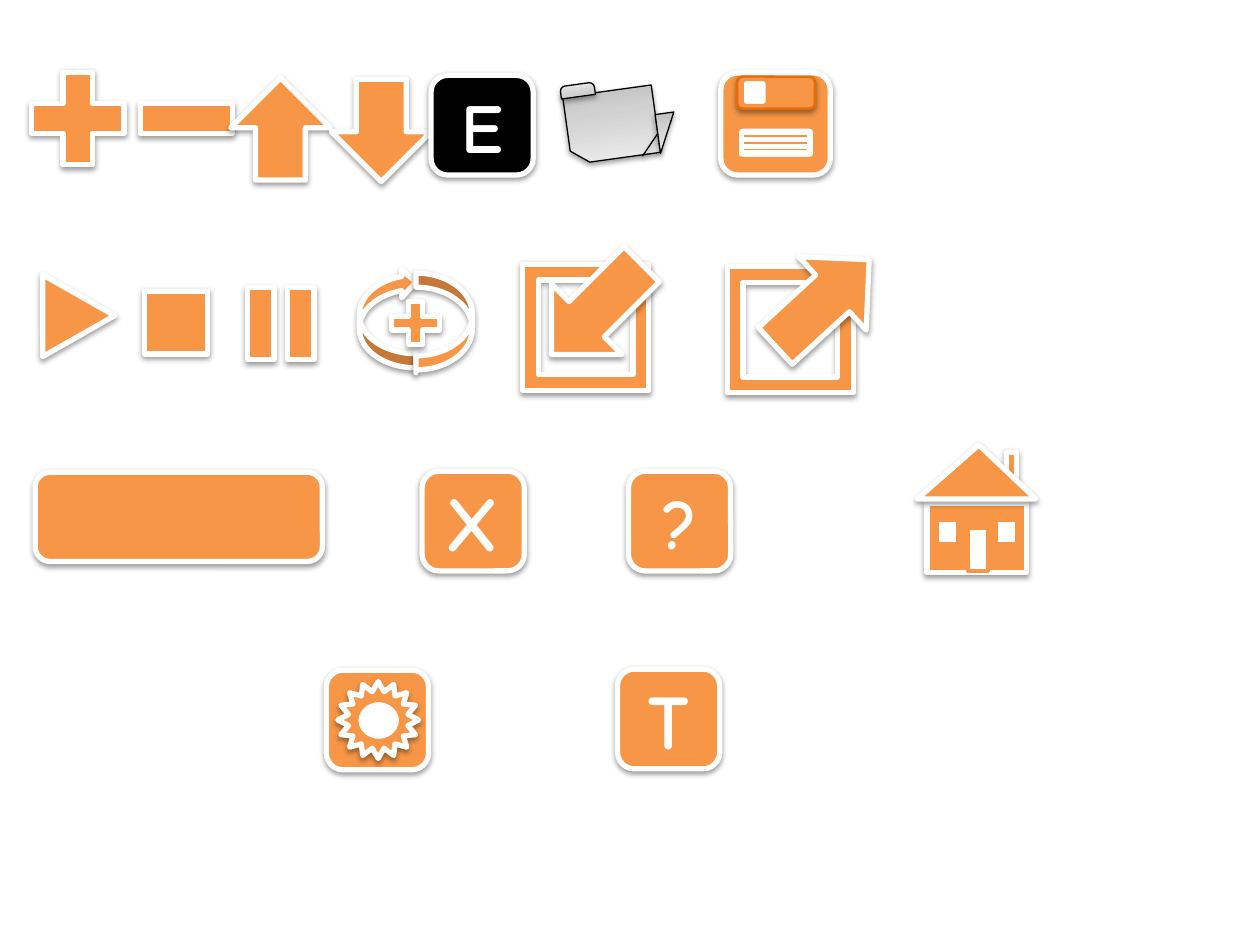
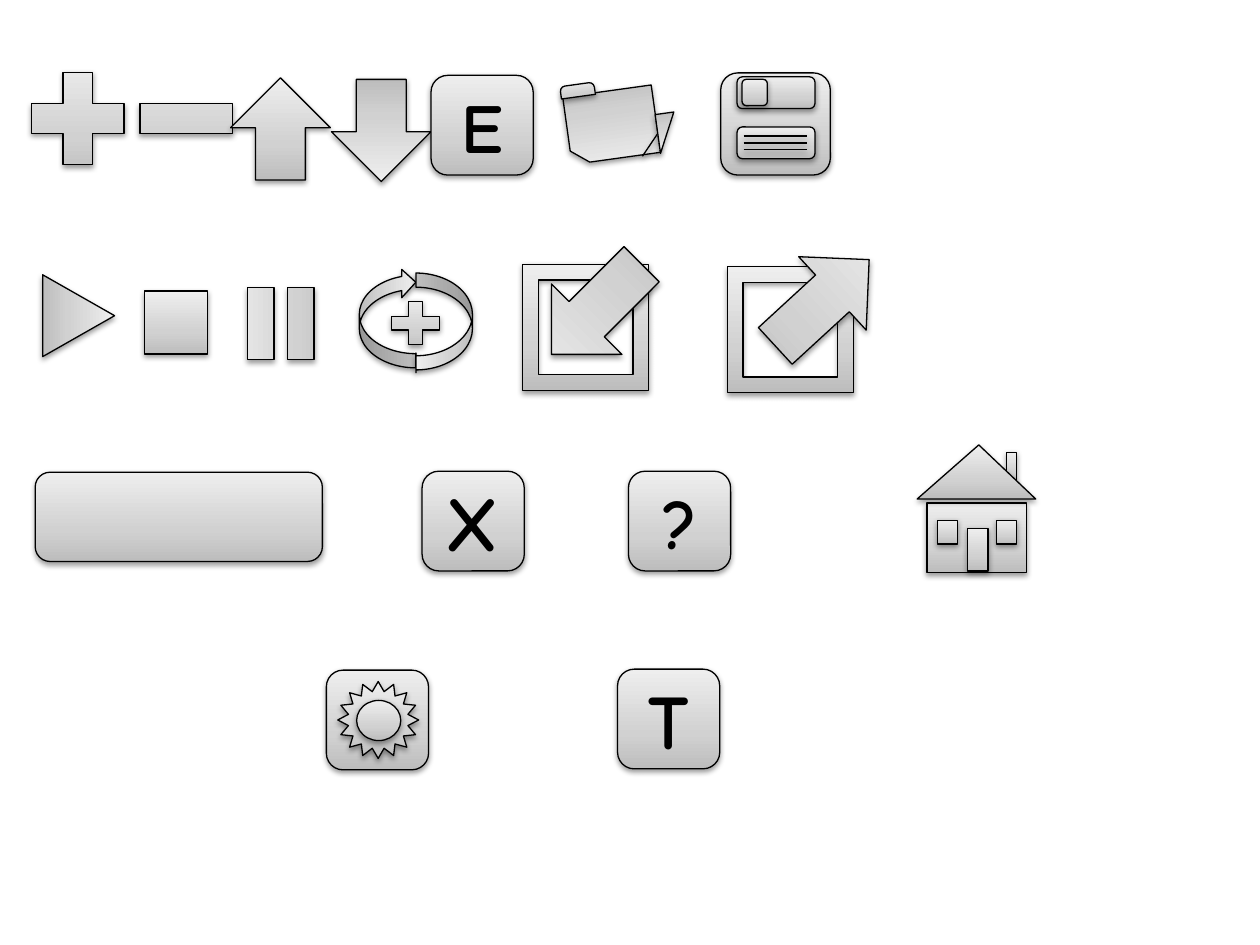
from dataclasses import dataclass
from typing import Optional

from lxml.etree import SubElement
from pptx import Presentation
from pptx.dml.color import RGBColor
from pptx.enum.shapes import MSO_CONNECTOR, MSO_SHAPE as Form
from pptx.enum.text import MSO_ANCHOR, PP_ALIGN
from pptx.oxml.ns import qn
from pptx.util import Cm, Pt

ORANGE = RGBColor(0xF7, 0x96, 0x46)
RULE_ORANGE = RGBColor(0xF6, 0x92, 0x40)
DARK_ORANGE = RGBColor(0xE4, 0x6C, 0x0A)
WHITE = RGBColor(0xFF, 0xFF, 0xFF)
BLACK = RGBColor(0x00, 0x00, 0x00)
SILVER_STOPS = (
    (0, RGBColor(0xBD, 0xBD, 0xBD)),
    (35, RGBColor(0xD1, 0xD1, 0xD1)),
    (100, RGBColor(0xEE, 0xEE, 0xEE)),
)
FONT = "Comic Neue"
KEY_SIZE = (2.06, 2.01)
ARROW_SIZE = (2.01, 2.06)


@dataclass(frozen=True)
class Look:
    """Fill, outline and shadow; without a fill the silver gradient is used."""
    fill: Optional[RGBColor]
    line: RGBColor
    weight: float
    shadow: bool = True


@dataclass(frozen=True)
class Theme:
    body: Look
    detail: Look
    shutter: Look
    rule: Look
    edit_key: Look
    ink: RGBColor


SILVER = Look(None, BLACK, 0.75)
ORANGE_THEME = Theme(
    body=Look(ORANGE, WHITE, 3),
    detail=Look(WHITE, ORANGE, 2, shadow=False),
    shutter=Look(ORANGE, DARK_ORANGE, 1.5),
    rule=Look(None, RULE_ORANGE, 0.75, shadow=False),
    edit_key=Look(BLACK, WHITE, 3),
    ink=WHITE,
)
SILVER_THEME = Theme(SILVER, SILVER, SILVER, SILVER, SILVER, BLACK)


def apply_outline(drawn, look):
    """Set the line, then the shadow, or an empty effect list for none."""
    drawn.line.color.rgb = look.line
    drawn.line.width = Pt(look.weight)
    effects = SubElement(drawn._element.spPr, qn("a:effectLst"))
    if look.shadow:
        shadow = SubElement(effects, qn("a:outerShdw"), blurRad="40000",
                            dist="20000", dir="5400000", rotWithShape="0")
        color = SubElement(shadow, qn("a:srgbClr"), val=str(BLACK))
        SubElement(color, qn("a:alpha"), val="38000")


def fill_silver(shape):
    shape.fill.gradient()
    shape.fill.gradient_angle = 90
    stops = shape._element.spPr.find(qn("a:gradFill")).find(qn("a:gsLst"))
    stops.clear()
    for percent, color in SILVER_STOPS:
        stop = SubElement(stops, qn("a:gs"), pos=str(percent * 1000))
        SubElement(stop, qn("a:srgbClr"), val=str(color))


def draw(shapes, form, x, y, size, look, turn=0, flip=False, adjust=()):
    """Add a preset shape; position and size are in centimetres."""
    shape = shapes.add_shape(form, Cm(x), Cm(y), Cm(size[0]), Cm(size[1]))
    shape.rotation = turn
    if flip:
        shape._element.spPr.find(qn("a:xfrm")).set("flipH", "1")
    for index, value in enumerate(adjust):
        shape.adjustments[index] = value
    if look.fill is None:
        fill_silver(shape)
    else:
        shape.fill.solid()
        shape.fill.fore_color.rgb = look.fill
    apply_outline(shape, look)
    return shape


def draw_line(shapes, x1, y1, x2, y2, look):
    line = shapes.add_connector(MSO_CONNECTOR.STRAIGHT, Cm(x1), Cm(y1), Cm(x2), Cm(y2))
    apply_outline(line, look)


def add_key(shapes, x, y, look, letter="", size=44, ink=None):
    key = draw(shapes, Form.ROUNDED_RECTANGLE, x, y, KEY_SIZE, look)
    if letter:
        frame = key.text_frame
        frame.vertical_anchor = MSO_ANCHOR.MIDDLE
        caption = frame.paragraphs[0]
        caption.text = letter
        caption.alignment = PP_ALIGN.CENTER
        caption.font.name = FONT
        caption.font.size = Pt(size)
        caption.font.bold = True
        caption.font.color.rgb = ink


def add_floppy_disk(shapes, x, y, theme):
    disk = shapes.add_group_shape().shapes
    plate_size = (1.57, 0.64)
    draw(disk, Form.ROUNDED_RECTANGLE, x, y, (2.21, 2.06), theme.body)
    draw(disk, Form.ROUNDED_RECTANGLE, x + 0.33, y + 1.09, plate_size, theme.detail)
    draw(disk, Form.ROUNDED_RECTANGLE, x + 0.33, y + 0.08, plate_size, theme.shutter)
    draw(disk, Form.ROUNDED_RECTANGLE, x + 0.43, y + 0.13, (0.51, 0.53), theme.detail)
    for row in range(3):
        rule_y = y + 1.27 + 0.14 * row
        draw_line(disk, x + 0.46, rule_y, x + 1.73, rule_y, theme.rule)


def add_folder(shapes, x, y):
    """Draw the tilted folder, which is silver in every theme."""
    folder = shapes.add_group_shape().shapes
    tilt = 172.1
    draw(folder, Form.FLOWCHART_CARD, x + 0.13, y + 0.13, (1.8, 1.37), SILVER,
         turn=tilt, flip=True)
    draw(folder, Form.ROUND_2_SAME_RECTANGLE, x, y, (0.69, 0.25), SILVER,
         turn=tilt + 180, adjust=(0.41, 0))
    draw_line(folder, x + 1.65, y + 1.45, x + 1.96, y + 0.99, SILVER)
    draw(folder, Form.RIGHT_TRIANGLE, x + 1.96, y + 0.58, (0.38, 0.79), SILVER,
         turn=tilt, flip=True)


def add_cycle(shapes, x, y, look):
    """Draw two curved arrows around a plus sign."""
    cycle = shapes.add_group_shape().shapes
    arc_size = (2.01, 1.14)
    draw(cycle, Form.CURVED_UP_ARROW, x, y, arc_size, look, turn=90, flip=True)
    draw(cycle, Form.CURVED_UP_ARROW, x + 1.14, y + 0.1, arc_size, look,
         turn=270, flip=True, adjust=(0.25, 0.35, 0))
    draw(cycle, Form.MATH_PLUS, x + 0.91, y + 0.08, (1.32, 1.19), look)


def add_framed_arrow(shapes, x, y, look, dx, dy, turn):
    """Draw a frame crossed by an arrow offset by dx, dy."""
    icon = shapes.add_group_shape().shapes
    draw(icon, Form.FRAME, x, y, (2.54, 2.54), look)
    draw(icon, Form.UP_ARROW, x + dx, y + dy, (2.01, 2.57), look, turn=turn)


def add_house(shapes, x, y, theme):
    house = shapes.add_group_shape().shapes
    draw(house, Form.RECTANGLE, x + 1.8, y + 0.15, (0.2, 0.61), theme.body)
    draw(house, Form.FLOWCHART_PROCESS, x + 0.2, y + 1.17, (2.01, 1.4), theme.body)
    draw(house, Form.ISOSCELES_TRIANGLE, x, y, (2.39, 1.09), theme.body, adjust=(0.52,))
    draw(house, Form.RECTANGLE, x + 1.02, y + 1.68, (0.41, 0.86), theme.detail)
    for window_x in (0.41, 1.6):
        draw(house, Form.RECTANGLE, x + window_x, y + 1.52, (0.41, 0.48), theme.detail)


def add_settings(shapes, x, y, theme):
    add_key(shapes, x, y, theme.body)
    gear = shapes.add_group_shape().shapes
    draw(gear, Form.STAR_16_POINT, x + 0.23, y + 0.23, (1.63, 1.55), theme.body)
    draw(gear, Form.OVAL, x + 0.61, y + 0.61, (0.89, 0.81), theme.detail)


def add_editing_row(shapes, y, theme):
    for sign, x in ((Form.MATH_PLUS, 0.3), (Form.MATH_MINUS, 2.49)):
        draw(shapes, sign, x, y, (2.54, 2.54), theme.body)
    draw(shapes, Form.UP_ARROW, 4.65, y + 0.45, ARROW_SIZE, theme.body)
    draw(shapes, Form.UP_ARROW, 6.68, y + 0.48, ARROW_SIZE, theme.body, turn=180)
    add_key(shapes, 8.69, y + 0.4, theme.edit_key, "E", 40, theme.ink)
    add_floppy_disk(shapes, 14.53, y + 0.35, theme)
    add_folder(shapes, 11.3, y + 0.58)


def add_playback_row(shapes, y, theme):
    look = theme.body
    draw(shapes, Form.ISOSCELES_TRIANGLE, 0.76, y + 0.31, (1.65, 1.45), look, turn=90)
    draw(shapes, Form.RECTANGLE, 2.92, y + 0.54, (1.27, 1.27), look)
    draw(shapes, Form.MATH_EQUAL, 4.67, y + 0.05, (1.98, 2.29), look, turn=270)
    add_cycle(shapes, 6.81, y + 0.51, look)
    add_framed_arrow(shapes, 14.66, y + 0.05, look, 0.91, -0.56, 47.4)
    add_framed_arrow(shapes, 10.54, y, look, 0.48, -0.38, 225)


def add_navigation_row(shapes, y, theme):
    draw(shapes, Form.ROUNDED_RECTANGLE, 0.71, y + 0.02, (5.79, 1.8), theme.body)
    add_key(shapes, 8.51, y, theme.body, "X", 44, theme.ink)
    add_key(shapes, 12.67, y, theme.body, "?", 40, theme.ink)
    add_house(shapes, 18.49, y - 0.53, theme)


def add_tools_row(shapes, y, theme):
    add_settings(shapes, 6.58, y + 0.02, theme)
    add_key(shapes, 12.45, y, theme.body, "T", 44, theme.ink)


def add_icon_sheet(deck, theme):
    shapes = deck.slides.add_slide(deck.slide_layouts[6]).shapes
    add_editing_row(shapes, 1.12, theme)
    add_playback_row(shapes, 5.33, theme)
    add_navigation_row(shapes, 9.5, theme)
    add_tools_row(shapes, 13.49, theme)


def main():
    deck = Presentation()
    deck.slide_width = Cm(25.4)
    deck.slide_height = Cm(19.05)
    for theme in (ORANGE_THEME, SILVER_THEME):
        add_icon_sheet(deck, theme)
    deck.save("out.pptx")


if __name__ == "__main__":
    main()
